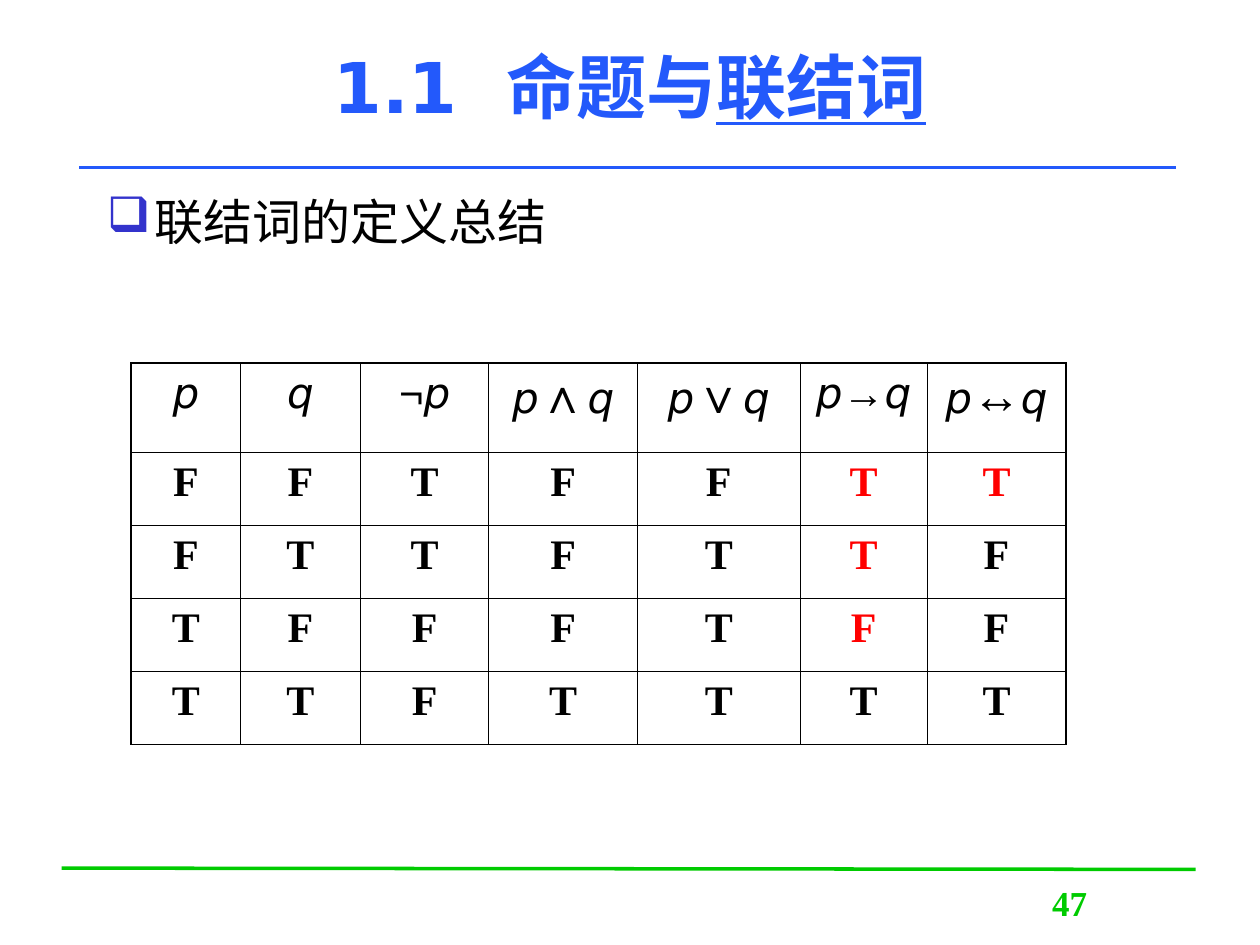
from typing import NamedTuple

from lxml import etree
from pptx import Presentation
from pptx.dml.color import RGBColor
from pptx.enum.shapes import MSO_CONNECTOR
from pptx.enum.text import MSO_ANCHOR, PP_ALIGN
from pptx.oxml.ns import qn
from pptx.util import Inches, Pt

BLUE = RGBColor(0x23, 0x59, 0xFB)
GREEN = RGBColor(0x00, 0xCB, 0x00)
BLACK = RGBColor(0, 0, 0)
RED = RGBColor(0xFF, 0, 0)
BULLET = "3333CC"
LINE = MSO_CONNECTOR.STRAIGHT
CENTER = PP_ALIGN.CENTER
TOP, MIDDLE = MSO_ANCHOR.TOP, MSO_ANCHOR.MIDDLE
SANS, SERIF, ARIAL = "DejaVu Sans", "Times New Roman", "Arial"
THIN, THICK = 0.45, 1.08


class Rule(NamedTuple):
    x1: float
    y1: float
    x2: float
    y2: float
    color: RGBColor


class Style(NamedTuple):
    font: str
    size: float
    color: RGBColor = BLACK
    bold: bool = False
    italic: bool = False


RULES = [Rule(0.49, 6.89, 9.49, 6.9, GREEN), Rule(0.63, 1.33, 9.33, 1.33, BLUE)]
COLS = [0.87, 0.95, 1.02, 1.18, 1.29, 1.01, 1.1]
ROWS = [0.71] + [0.58] * 4
HEADS = ["p", "q", "¬p", "p∧q", "p∨q", "p→q", "p↔q"]
TRUTH = ["FFTFFTT", "FTTFTTF", "TFFFTFF", "TTFTTTT"]
MARKED = {(1, 5), (1, 6), (2, 5), (3, 5)}
LETTER = Style(SANS, 24, italic=True)
SIGNS = {"¬": 24, "→": 24, "∧": 28, "∨": 28, "↔": 28}


def set_font(font, style: Style) -> None:
    font.name, font.size = style.font, Pt(style.size)
    font.bold, font.italic = style.bold, style.italic
    font.color.rgb = style.color


def add_rule(slide, rule: Rule) -> None:
    line = slide.shapes.add_connector(LINE, *map(Inches, rule[:4]))
    line.line.color.rgb, line.line.width = rule.color, Pt(2)
    etree.SubElement(line._element.spPr, qn("a:effectLst"))


def add_text(slide, box: tuple, anchor=TOP):
    frame = slide.shapes.add_textbox(*map(Inches, box)).text_frame
    frame.word_wrap, frame.vertical_anchor = True, anchor
    return frame.paragraphs[0]


def add_run(para, text: str):
    run = para.add_run()
    run.text = text
    return run


def add_bullet(para, char: str) -> None:
    props = para._p.get_or_add_pPr()
    props.set("marL", str(Inches(0.38)))
    props.set("indent", str(-Inches(0.38)))
    color = etree.SubElement(props, qn("a:buClr"))
    etree.SubElement(color, qn("a:srgbClr"), val=BULLET)
    etree.SubElement(props, qn("a:buChar"), char=char)


def set_edges(cell, widths: dict[str, float]) -> None:
    props = cell._tc.get_or_add_tcPr()
    for side, width in widths.items():
        edge = etree.SubElement(props, qn(f"a:ln{side}"), w=str(Pt(width)))
        fill = etree.SubElement(edge, qn("a:solidFill"))
        etree.SubElement(fill, qn("a:srgbClr"), val=str(BLACK))


def fill_head(para, label: str) -> None:
    for char in label:
        style = Style(ARIAL, SIGNS[char]) if char in SIGNS else LETTER
        set_font(add_run(para, char).font, style)


def add_truth(slide) -> None:
    area = map(Inches, (1.04, 2.88, sum(COLS), sum(ROWS)))
    table = slide.shapes.add_table(len(ROWS), len(COLS), *area).table
    table.first_row = table.horz_banding = False
    for col, width in zip(table.columns, COLS):
        col.width = Inches(width)
    for row, height in zip(table.rows, ROWS):
        row.height = Inches(height)
    for r, values in enumerate([HEADS, *TRUTH]):
        for c, value in enumerate(values):
            cell = table.cell(r, c)
            # Thick frame outside, thin grid inside
            set_edges(cell, {
                "L": THICK if c == 0 else THIN,
                "R": THICK if c == len(COLS) - 1 else THIN,
                "T": THICK if r == 0 else THIN,
                "B": THICK if r == len(ROWS) - 1 else THIN,
            })
            cell.fill.background()
            para = cell.text_frame.paragraphs[0]
            para.alignment = CENTER
            if r == 0:
                fill_head(para, value)
            else:
                add_run(para, value)
                color = RED if (r, c) in MARKED else BLACK
                set_font(para.font, Style(SERIF, 24, color, bold=True))


def main() -> None:
    deck = Presentation()
    deck.slide_width, deck.slide_height = Inches(10), Inches(7.5)
    slide = deck.slides.add_slide(deck.slide_layouts[6])

    # Rules and page number
    for rule in RULES:
        add_rule(slide, rule)
    page = add_text(slide, (7.7, 6.95, 1.58, 0.5))
    page.alignment = CENTER
    add_run(page, "47")
    set_font(page.font, Style(SERIF, 20, GREEN, bold=True))

    # Title, with a widened gap after the number
    title = add_text(slide, (0.75, 0.05, 8.5, 1.25), MIDDLE)
    title.alignment = CENTER
    add_run(title, "1.1")
    add_run(title, " ").font._element.set("spc", "1400")
    add_run(title, "命题与")
    add_run(title, "联结词").font.underline = True
    set_font(title.font, Style(SANS, 40, BLUE, bold=True))

    # Bullet line
    body = add_text(slide, (0.75, 1.47, 8.66, 5.35))
    add_bullet(body, "❑")
    add_run(body, "联结词的定义总结")
    set_font(body.font, Style(SERIF, 28))

    # Truth table
    add_truth(slide)
    deck.save("out.pptx")


if __name__ == "__main__":
    main()
